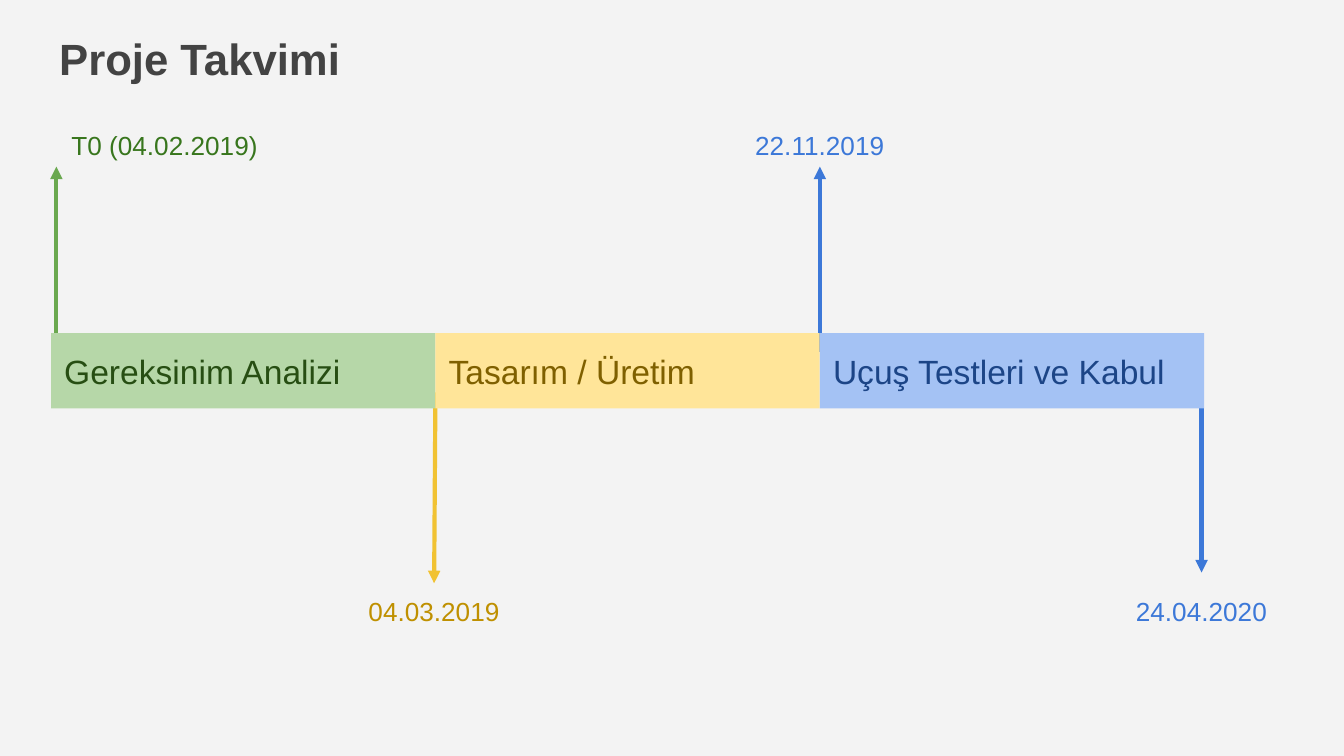
from lxml import etree
from pptx import Presentation
from pptx.dml.color import RGBColor
from pptx.enum.shapes import MSO_CONNECTOR, MSO_SHAPE
from pptx.enum.text import MSO_ANCHOR as ANCHOR, MSO_AUTO_SIZE as AUTO, PP_ALIGN as ALIGN
from pptx.oxml.ns import qn
from pptx.util import Inches, Pt

BACKGROUND = RGBColor(0xF3, 0xF3, 0xF3)
GRAY = RGBColor(0x43, 0x43, 0x43)
GREEN = RGBColor(0x6A, 0xA8, 0x4F)
GREEN_TEXT = RGBColor(0x38, 0x76, 0x1D)
GREEN_DARK = RGBColor(0x27, 0x4E, 0x13)
GREEN_LIGHT = RGBColor(0xB6, 0xD7, 0xA8)
YELLOW = RGBColor(0xF1, 0xC2, 0x32)
YELLOW_TEXT = RGBColor(0xBF, 0x90, 0x00)
YELLOW_DARK = RGBColor(0x7F, 0x60, 0x00)
YELLOW_LIGHT = RGBColor(0xFF, 0xE5, 0x99)
BLUE = RGBColor(0x3C, 0x78, 0xD8)
BLUE_DARK = RGBColor(0x1C, 0x45, 0x87)
BLUE_LIGHT = RGBColor(0xA4, 0xC2, 0xF4)

BAR_LEFT, BAR_TOP, BAR_W, BAR_H = 0.38, 2.48, 2.86, 0.56


def write(sp, text, size, color, bold=False, align=ALIGN.LEFT, anchor=ANCHOR.MIDDLE):
    tf = sp.text_frame
    tf.word_wrap = True
    tf.auto_size = AUTO.NONE
    tf.vertical_anchor = anchor
    tf.margin_left = tf.margin_right = tf.margin_top = tf.margin_bottom = Inches(0.1)
    p = tf.paragraphs[0]
    p.alignment = align
    r = p.add_run()
    r.text = text
    r.font.name = "Arial"
    r.font.size = Pt(size)
    r.font.bold = bold
    r.font.color.rgb = color


prs = Presentation()
prs.slide_width = Inches(10)
prs.slide_height = prs.slide_width * 9 // 16
s = prs.slides.add_slide(prs.slide_layouts[5])
s.background.fill.solid()
s.background.fill.fore_color.rgb = BACKGROUND

title = s.shapes.title
title.left, title.top = Inches(0.34), Inches(0.14)
title.width, title.height = Inches(9.32), Inches(0.63)
write(title, "Proje Takvimi", 23.4, GRAY, bold=True, anchor=ANCHOR.TOP)

arrows = [
    (6.1, 2.62, 6.1, 1.24, BLUE),
    (8.94, 2.83, 8.94, 4.26, BLUE),
    (3.24, 2.92, 3.23, 4.34, YELLOW),
    (0.42, 2.62, 0.42, 1.24, GREEN),
]
for x1, y1, x2, y2, color in arrows:
    arrow = s.shapes.add_connector(
        MSO_CONNECTOR.STRAIGHT, Inches(x1), Inches(y1), Inches(x2), Inches(y2))
    arrow.line.color.rgb = color
    arrow.line.width = Pt(2.25)
    etree.SubElement(arrow.line._get_or_add_ln(), qn("a:tailEnd"), type="triangle")
    etree.SubElement(arrow._element.spPr, qn("a:effectLst"))

phases = [
    ("Gereksinim Analizi", GREEN_LIGHT, GREEN_DARK),
    ("Tasarım / Üretim", YELLOW_LIGHT, YELLOW_DARK),
    ("Uçuş Testleri ve Kabul", BLUE_LIGHT, BLUE_DARK),
]
for i, (name, fill, color) in enumerate(phases):
    bar = s.shapes.add_shape(
        MSO_SHAPE.RECTANGLE, Inches(BAR_LEFT + i * BAR_W), Inches(BAR_TOP),
        Inches(BAR_W), Inches(BAR_H))
    bar.shadow.inherit = False
    bar.fill.solid()
    bar.fill.fore_color.rgb = fill
    bar.line.fill.background()
    write(bar, name, 18, color)

dates = [
    ("T0 (04.02.2019)", 0.34, 0.87, 1.77, GREEN_TEXT),
    ("22.11.2019", 5.47, 0.87, 1.26, BLUE),
    ("04.03.2019", 2.6, 4.34, 1.26, YELLOW_TEXT),
    ("24.04.2020", 8.31, 4.34, 1.26, BLUE),
]
for date, left, top, width, color in dates:
    label = s.shapes.add_textbox(Inches(left), Inches(top), Inches(width), Inches(0.42))
    write(label, date, 14, color, align=ALIGN.CENTER)

prs.save("out.pptx")
